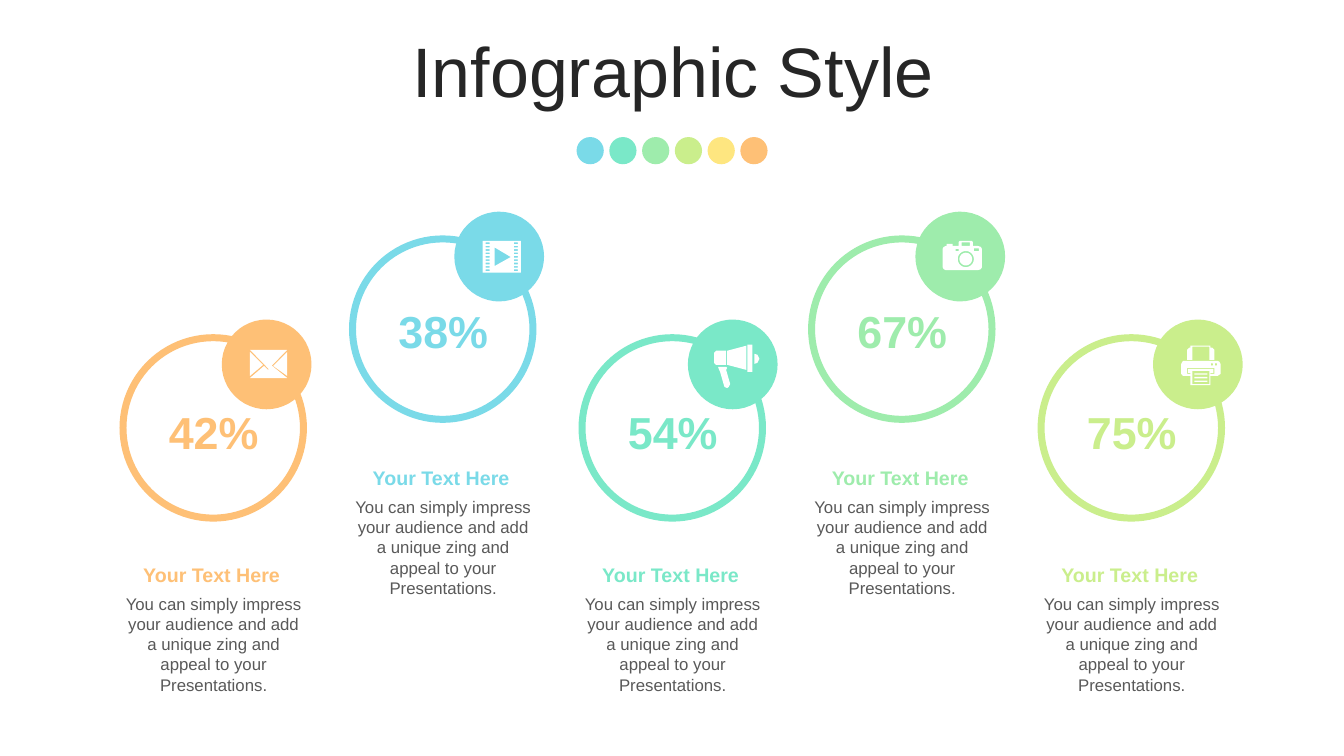
from dataclasses import dataclass
from math import cos, pi, sin

from pptx import Presentation
from pptx.dml.color import RGBColor
from pptx.enum.shapes import MSO_SHAPE
from pptx.enum.text import MSO_ANCHOR, PP_ALIGN
from pptx.shapes.autoshape import Shape
from pptx.slide import Slide
from pptx.util import Emu, Inches, Pt

Point = tuple[float, float]
Path = list[Point]

# The slide is a grid of square cells; icons are drawn in tenths of a cell.
CELL = Inches(0.1)
COLS, ROWS = 133.33, 75
FINE = 100

SKY = RGBColor(0x7A, 0xDA, 0xE8)
MINT = RGBColor(0x7A, 0xE8, 0xC8)
GREEN = RGBColor(0x9E, 0xEC, 0xAC)
LIME = RGBColor(0xCA, 0xEE, 0x8C)
YELLOW = RGBColor(0xFE, 0xE6, 0x80)
ORANGE = RGBColor(0xFE, 0xC0, 0x76)
WHITE = RGBColor(0xFF, 0xFF, 0xFF)
INK = RGBColor(0x26, 0x26, 0x26)
GREY = RGBColor(0x59, 0x59, 0x59)

FONT = "Arial"
HEAD = "Your Text Here"
BODY = ("You can simply impress your audience and add a unique zing "
        "and appeal to your Presentations.")

FIRST, PITCH = 12.2, 22.77
RING, BADGE = 17.9, 8.9
DOT, DOT_LEFT, DOT_TOP, DOT_STEP = 2.7, 57.2, 13.6, 3.25


@dataclass(frozen=True)
class Tier:
    """Rows of the parts of one column."""
    ring: float
    badge: float
    rate: float
    head: float
    body: float


@dataclass(frozen=True)
class Stat:
    rate: str
    color: RGBColor
    tier: Tier
    shift: float
    icon: list[Path]


def cells(count: float) -> Emu:
    return Emu(round(count * CELL))


def rect(left: float, top: float, right: float, base: float) -> Path:
    return [(left, top), (right, top), (right, base), (left, base)]


def disc(x: float, y: float, size: float) -> Path:
    turns = [2 * pi * step / 32 for step in range(32)]
    return [(x + size * cos(turn), y + size * sin(turn)) for turn in turns]


MAIL = [
    [(50, 46), (65, 58), (28, 58), (42, 46), (46, 50)],
    [(65, 32), (65, 56), (51, 46)],
    [(28, 32), (41, 45), (28, 56)],
    [(28, 30), (65, 30), (46.5, 49)],
]
FILM = [
    rect(28, 29, 66, 60.5),
    [(40, 35.5), (40, 54), (56, 45)],
    *[rect(left, 30.5 + 3.35 * row, left + 4, 32.2 + 3.35 * row)
      for left in (31, 59) for row in range(9)],
]
HORN = [
    [(38, 47), (39, 48), (38, 50), (42, 64), (40.5, 67), (39, 68),
     (36.5, 67), (36, 66), (32, 52), (31, 50), (30, 47)],
    [(66, 34), (69, 35), (71, 39), (69, 43), (66, 44)],
    [(28, 31), (38, 31), (38, 45), (28, 45), (26, 43), (26, 33)],
    [(58, 26), (58, 50), (39, 45), (39, 31)],
    rect(59, 25, 64, 52),
]
CAMERA = [
    [(44, 29), (56, 29), (57, 30), (57, 34), (62, 34), (65, 35), (66, 37),
     (66, 55), (65, 57), (62, 58), (30, 58), (28, 57), (27, 55), (27, 37),
     (28, 35), (30, 34), (31, 34), (31, 32), (37, 32), (37, 34), (43, 34),
     (43, 30)],
    disc(50, 47, 8),
    disc(50, 47, 6.3),
    rect(40, 37, 43, 39),
    rect(58, 36.5, 63, 39),
    rect(46, 30.5, 54, 34),
]
PRINTER = [
    [(30, 41), (64, 41), (66, 42), (67, 44), (67, 54), (64, 56), (57, 56),
     (57, 65), (37, 65), (37, 56), (30, 56), (28, 54), (28, 44), (29, 42)],
    [(34, 48), (34, 54), (37, 54), (37, 53), (35, 53), (35, 49), (60, 49),
     (60, 53), (57, 53), (57, 54), (61, 54), (61, 48)],
    [(37, 26), (57, 26), (57, 28), (59, 28), (61, 30), (61, 40), (56, 40),
     (56, 27), (39, 27), (39, 40), (34, 40), (34, 30), (36, 28), (37, 28)],
    rect(39, 51, 56, 64),
    *[rect(41, top, 54, top + 1.3) for top in (53.4, 57, 60.6)],
    *[disc(x, 44.5, 1.2) for x in (58.5, 62.5)],
]

LOW = Tier(ring=33.5, badge=31.7, rate=39.7, head=55.4, body=58.4)
HIGH = Tier(ring=23.7, badge=21, rate=29.6, head=45.7, body=48.8)
STATS = [
    Stat("42%", ORANGE, LOW, 9.8, MAIL),
    Stat("38%", SKY, HIGH, 10.1, FILM),
    Stat("54%", MINT, LOW, 10.5, HORN),
    Stat("67%", GREEN, HIGH, 10.3, CAMERA),
    Stat("75%", LIME, LOW, 11.1, PRINTER),
]
DOTS = [SKY, MINT, GREEN, LIME, YELLOW, ORANGE]


def paint(shape: Shape, fill: RGBColor) -> None:
    shape.shadow.inherit = False
    shape.fill.solid()
    shape.fill.fore_color.rgb = fill
    shape.line.fill.background()


def add_disc(slide: Slide, left: float, top: float, size: float,
             fill: RGBColor) -> Shape:
    shape = slide.shapes.add_shape(
        MSO_SHAPE.OVAL, cells(left), cells(top), cells(size), cells(size))
    paint(shape, fill)
    return shape


def add_text(slide: Slide, text: str, left: float, top: float, width: float,
             height: float, size: int, color: RGBColor,
             bold: bool = False) -> Shape:
    box = slide.shapes.add_textbox(
        cells(left), cells(top), cells(width), cells(height))
    frame = box.text_frame
    frame.word_wrap = True
    frame.text = text
    para = frame.paragraphs[0]
    para.alignment = PP_ALIGN.CENTER
    font = para.runs[0].font
    font.name, font.size, font.bold = FONT, Pt(size), bold
    font.color.rgb = color
    return box


def add_icon(slide: Slide, left: float, top: float, icon: list[Path]) -> None:
    """Draw all outlines as one shape, so inner ones become holes."""
    fine = [[(x * FINE, y * FINE) for x, y in path] for path in icon]
    pen = slide.shapes.build_freeform(*fine[0][0], scale=CELL / 10 / FINE)
    for path in fine:
        if path is not fine[0]:
            pen.move_to(*path[0])
        pen.add_line_segments(path[1:], close=True)
    paint(pen.convert_to_shape(cells(left), cells(top)), WHITE)


def add_stat(slide: Slide, stat: Stat, left: float) -> None:
    tier, color = stat.tier, stat.color
    add_text(slide, BODY, left - 0.9, tier.body, 19.8, 11.1, 12, GREY)
    add_text(slide, HEAD, left - 1, tier.head, 19.6, 3.4, 14, color, True)
    ring = add_disc(slide, left, tier.ring, RING, WHITE)
    ring.line.color.rgb = color
    ring.line.width = Pt(5)
    add_disc(slide, left + stat.shift, tier.badge, BADGE, color)
    add_text(slide, stat.rate, left + 3.45, tier.rate, 11.1, 6.4, 32, color,
             True)
    add_icon(slide, left + stat.shift, tier.badge, stat.icon)


def main() -> None:
    deck = Presentation()
    deck.slide_width, deck.slide_height = cells(COLS), cells(ROWS)
    slide = deck.slides.add_slide(deck.slide_layouts[6])
    for spot, color in enumerate(DOTS):
        add_disc(slide, DOT_LEFT + spot * DOT_STEP, DOT_TOP, DOT, color)
    title = add_text(slide, "Infographic Style", 3.5, 3.7, 126.6, 7.9, 50, INK)
    title.text_frame.vertical_anchor = MSO_ANCHOR.MIDDLE
    title.text_frame.paragraphs[0].line_spacing = 0.8
    for spot, stat in enumerate(STATS):
        add_stat(slide, stat, FIRST + spot * PITCH)
    deck.save("out.pptx")


if __name__ == "__main__":
    main()
